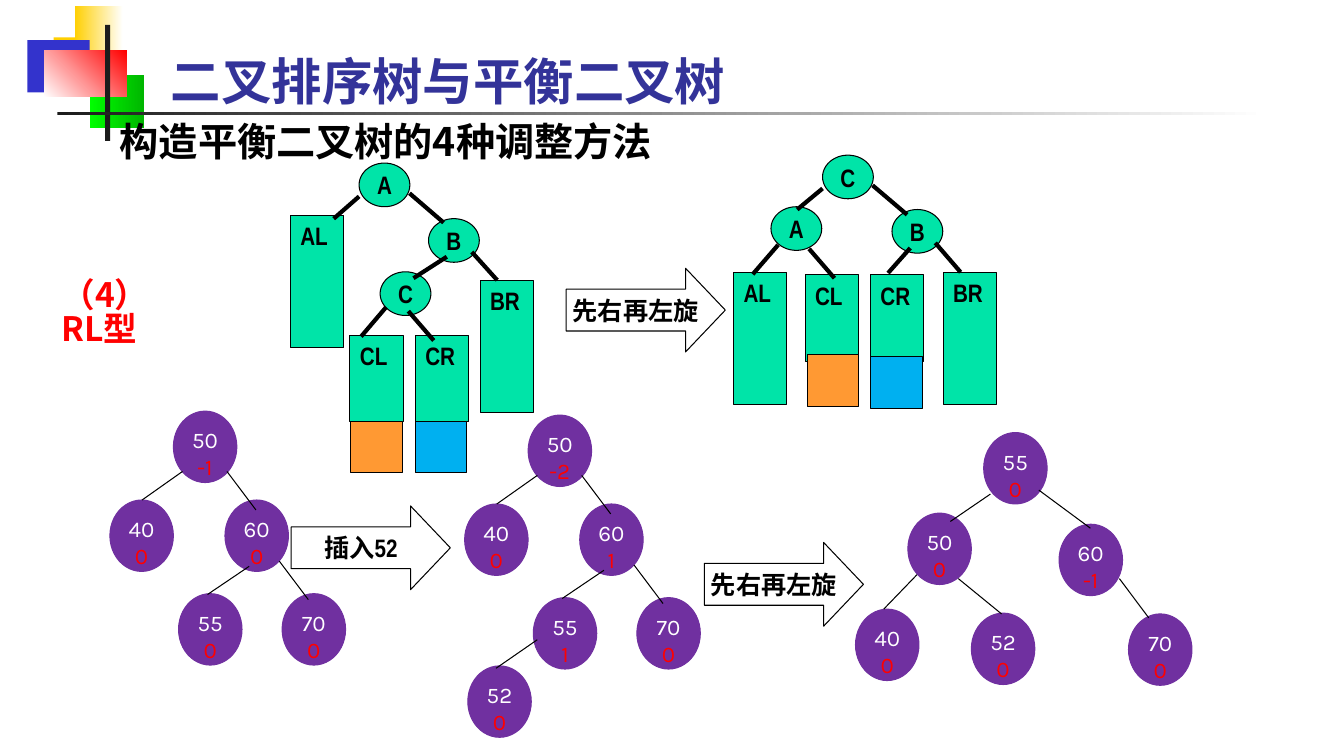
from lxml.etree import SubElement
from pptx import Presentation
from pptx.dml.color import RGBColor
from pptx.enum.shapes import MSO_CONNECTOR as LINK, MSO_SHAPE as FORM
from pptx.enum.text import MSO_ANCHOR as ANCHOR, PP_ALIGN as ALIGN
from pptx.oxml.ns import qn
from pptx.util import Cm, Pt

HUES = {
    "black": "000000", "white": "FFFFFF", "ink": "1C1C1C", "gold": "FFCF01",
    "blue": "3333CC", "lime": "00FF00", "green": "00B600", "red": "FF0000",
    "navy": "333399", "purple": "7030A0", "mint": "00E4A8",
    "orange": "FF9933", "sky": "00B0F0",
}
NARROW, KARLA, NOTO = "Arial Narrow", "Karla", "Noto Sans CJK SC"
DISC, BALL = (1.28, 1.1), (1.6, 1.8)
WIDE, TALL, SHORT, CELL = 1.34, 3.33, 2.18, 1.3

LEFT = {
    "discs": [("C", 2.26, 2.74), ("A", 1.73, 0), ("B", 3.48, 1.4)],
    "bars": [("BR", 4.78, 2.95, TALL), ("AL", 0, 1.32, TALL),
             ("CL", 1.5, 4.34, SHORT), ("CR", 3.15, 4.34, SHORT)],
    "links": [(1.73, 0.84, 1.09, 1.4), (3, 0.76, 3.86, 1.5), (3.94, 2.36, 3.1, 2.9),
              (4.57, 2.24, 5.21, 2.95), (2.41, 3.63, 1.78, 4.37), (2.97, 3.73, 3.61, 4.47)],
    "cells": [("orange", 1.52, 6.5), ("sky", 3.14, 6.5)],
}
RIGHT = {
    "discs": [("A", 0.94, 1.3), ("C", 2.24, 0), ("B", 3.99, 1.37)],
    "bars": [("BR", 5.28, 2.95, TALL), ("AL", 0, 2.95, TALL),
             ("CL", 1.8, 3.02, SHORT), ("CR", 3.45, 3.02, SHORT)],
    "links": [(2.24, 0.84, 1.6, 1.37), (3.5, 0.76, 4.37, 1.5), (4.45, 2.34, 3.89, 2.97),
              (5.08, 2.21, 5.72, 2.95), (1.12, 2.26, 0.48, 3), (1.9, 2.36, 2.54, 3.1)],
    "cells": [("orange", 1.85, 5.03), ("sky", 3.45, 5.08)],
}
SPOTS = [(1.6, 0), (0, 2.24), (2.9, 2.24), (1.73, 4.6), (4.34, 4.6), (0.08, 6.32)]
EDGES = [(1.83, 1.52, 0.81, 2.24), (2.95, 1.52, 3.68, 2.49), (3.51, 3.91, 2.46, 4.62),
         (4.27, 3.78, 5, 4.75), (1.83, 5.66, 0.79, 6.38)]
TURNED = [(3.23, 0), (1.32, 2.03), (5.13, 2.31), (0, 4.45), (2.92, 4.55), (6.88, 4.57)]
TIES = [(2.59, 3.68, 3.68, 4.57), (6.65, 3.68, 7.39, 4.67), (3.4, 1.55, 2.39, 2.24),
        (4.62, 1.45, 5.92, 2.41), (1.55, 3.58, 0.71, 4.45)]


def hue(name):
    """Return the named colour."""
    return RGBColor.from_string(HUES[name])


def style(para, size, face, tint, bold=True):
    """Format every run of a paragraph."""
    for run in para.runs:
        font = run.font
        font.size, font.name, font.bold = Pt(size), face, bold
        font.color.rgb = hue(tint)


def block(slide, form, box, fill, line=None):
    """Add a flat preset shape, with a gradient if two fills are given."""
    shape = slide.shapes.add_shape(form, *map(Cm, box))
    shape.shadow.inherit = False
    if isinstance(fill, tuple):
        start, end, angle = fill
        shape.fill.gradient()
        shape.fill.gradient_angle = angle
        for stop, name in zip(shape.fill.gradient_stops, (start, end)):
            stop.color.rgb = hue(name)
    else:
        shape.fill.solid()
        shape.fill.fore_color.rgb = hue(fill)
    if line:
        shape.line.color.rgb = hue(line)
        shape.line.width = Pt(0.75)
    else:
        shape.line.fill.background()
    return shape


def label(shape, text, anchor=ANCHOR.MIDDLE, align=ALIGN.CENTER):
    """Write a bold black label that does not wrap."""
    frame = shape.text_frame
    frame.text, frame.word_wrap, frame.vertical_anchor = text, False, anchor
    para = frame.paragraphs[0]
    para.alignment = align
    style(para, 18, NARROW, "black")


def join(slide, x, y, ends, width):
    """Draw a straight black line between two offsets."""
    x1, y1, x2, y2 = ends
    line = slide.shapes.add_connector(
        LINK.STRAIGHT, Cm(x + x1), Cm(y + y1), Cm(x + x2), Cm(y + y2))
    line.line.color.rgb = hue("black")
    line.line.width = Pt(width)
    SubElement(line._element.spPr, qn("a:effectLst"))


def words(slide, box, text, size, face, tint, anchor=ANCHOR.TOP, pitch=None):
    """Add a bold text box."""
    frame = slide.shapes.add_textbox(*map(Cm, box)).text_frame
    frame.text, frame.word_wrap, frame.vertical_anchor = text, True, anchor
    for para in frame.paragraphs:
        para.line_spacing = pitch
        style(para, size, face, tint)


def motif(slide, x, y):
    """Draw the coloured corner blocks and the rule under the title."""
    parts = [
        (0.66, 0.79, 1.63, 1.32, "gold"),
        (1.19, 0, 1.22, 1.32, ("gold", "white", 0)),
        (0, 0.86, 1.57, 1.32, "blue"),
        (1.57, 1.75, 1.37, 1.32, ("lime", "green", 0)),
        (0.43, 1.12, 2.08, 1.17, ("white", "red", 45)),
        (1.96, 0.48, 0.13, 2.92, "ink"),
        (0.76, 2.67, 30.48, 0.08, ("ink", "white", 0)),
    ]
    for dx, dy, w, h, fill in parts:
        block(slide, FORM.RECTANGLE, (x + dx, y + dy, w, h), fill)


def arrow(slide, x, y, text):
    """Draw a labelled step arrow."""
    shape = block(slide, FORM.RIGHT_ARROW, (x, y, 4.01, 2.11), "white", "black")
    shape.adjustments[0], shape.adjustments[1] = 0.5, 0.475
    label(shape, text)


def scheme(slide, x, y, plan):
    """Draw a general subtree diagram."""
    for text, dx, dy in plan["discs"]:
        label(block(slide, FORM.OVAL, (x + dx, y + dy, *DISC), "mint", "black"), text)
    for text, dx, dy, h in plan["bars"]:
        bar = block(slide, FORM.RECTANGLE, (x + dx, y + dy, WIDE, h), "mint", "black")
        label(bar, text, ANCHOR.TOP, ALIGN.LEFT)
    for ends in plan["links"]:
        join(slide, x, y, ends, 3)
    for fill, dx, dy in plan["cells"]:
        block(slide, FORM.RECTANGLE, (x + dx, y + dy, CELL, CELL), fill, "black")


def tree(slide, x, y, keys, spots, edges):
    """Draw a tree of keys with their balance factors."""
    for (key, factor), (dx, dy) in zip(keys, spots):
        ball = block(slide, FORM.OVAL, (x + dx, y + dy, *BALL), "purple", "purple")
        frame = ball.text_frame
        frame.text = f"{key}\n{factor}"
        frame.word_wrap, frame.vertical_anchor = False, ANCHOR.TOP
        for para, tint in zip(frame.paragraphs, ("white", "red")):
            para.alignment = ALIGN.CENTER
            style(para, 16, KARLA, tint, False)
    for ends in edges:
        join(slide, x, y, ends, 0.75)


def main():
    """Build and save the slide."""
    deck = Presentation()
    deck.slide_width, deck.slide_height = Cm(33.87), Cm(19.05)
    slide = deck.slides.add_slide(deck.slide_layouts[6])
    motif(slide, 0.69, 0.15)
    words(slide, (4.06, 1.14, 17.98, 1.78), "二叉排序树与平衡二叉树",
          36, NARROW, "navy", ANCHOR.MIDDLE)
    words(slide, (2.77, 2.82, 25.6, 1.68), "构造平衡二叉树的4种调整方法", 28, NOTO, "black")
    words(slide, (1.3, 6.93, 4.37, 2.34), "（4）\nRL型", 24, NOTO, "red", pitch=0.85)
    scheme(slide, 7.32, 4.11, LEFT)
    arrow(slide, 14.27, 6.76, "先右再左旋")
    scheme(slide, 18.49, 3.91, RIGHT)
    tree(slide, 2.77, 10.36, [(50, -1), (40, 0), (60, 0), (55, 0), (70, 0)],
         SPOTS, EDGES[:4])
    arrow(slide, 7.34, 12.75, "插入52")
    tree(slide, 11.71, 10.46, [(50, -2), (40, 0), (60, 1), (55, 1), (70, 0), (52, 0)],
         SPOTS, EDGES)
    arrow(slide, 17.75, 13.67, "先右再左旋")
    tree(slide, 21.56, 10.9, [(55, 0), (50, 0), (60, -1), (40, 0), (52, 0), (70, 0)],
         TURNED, TIES)
    deck.save("out.pptx")


if __name__ == "__main__":
    main()
